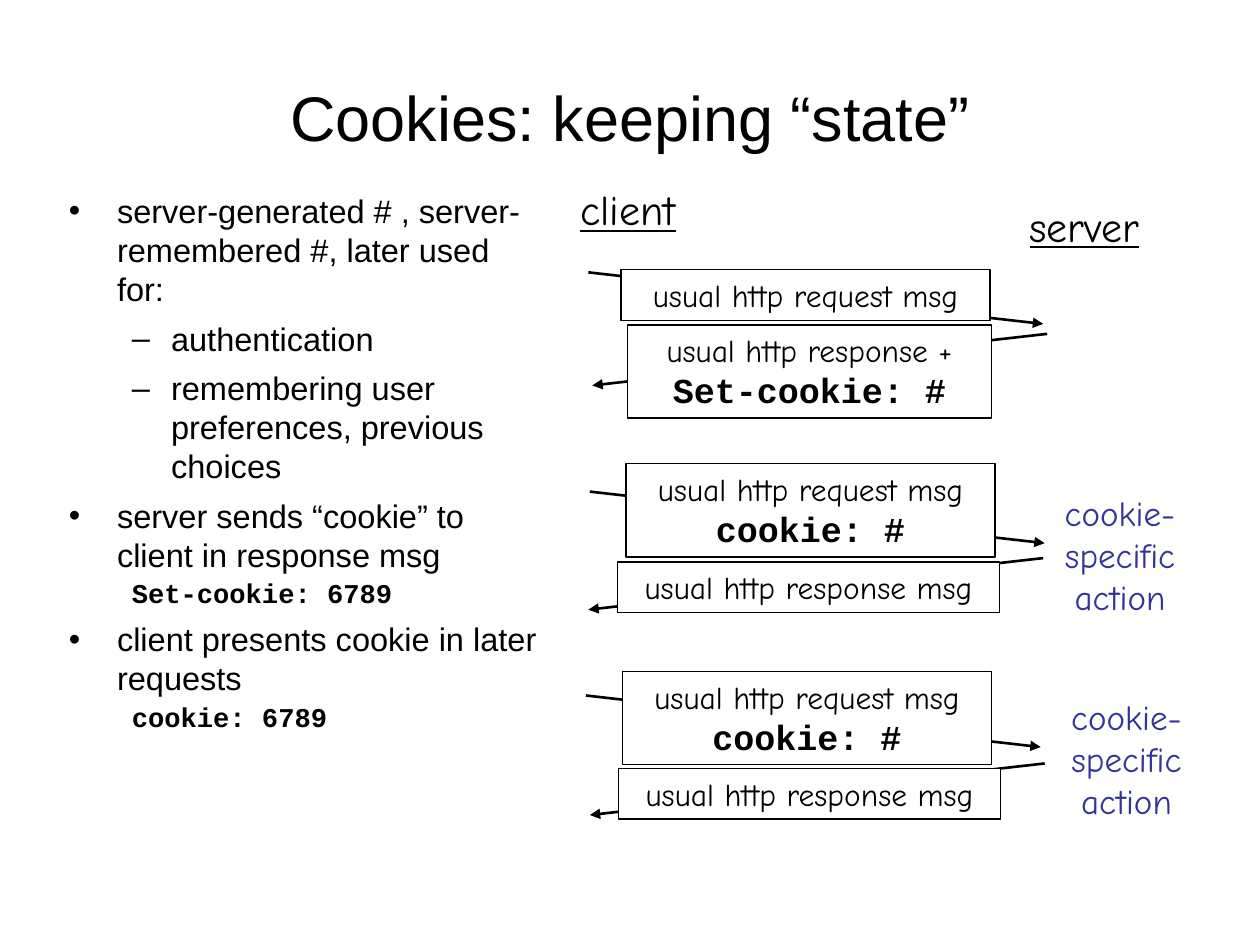
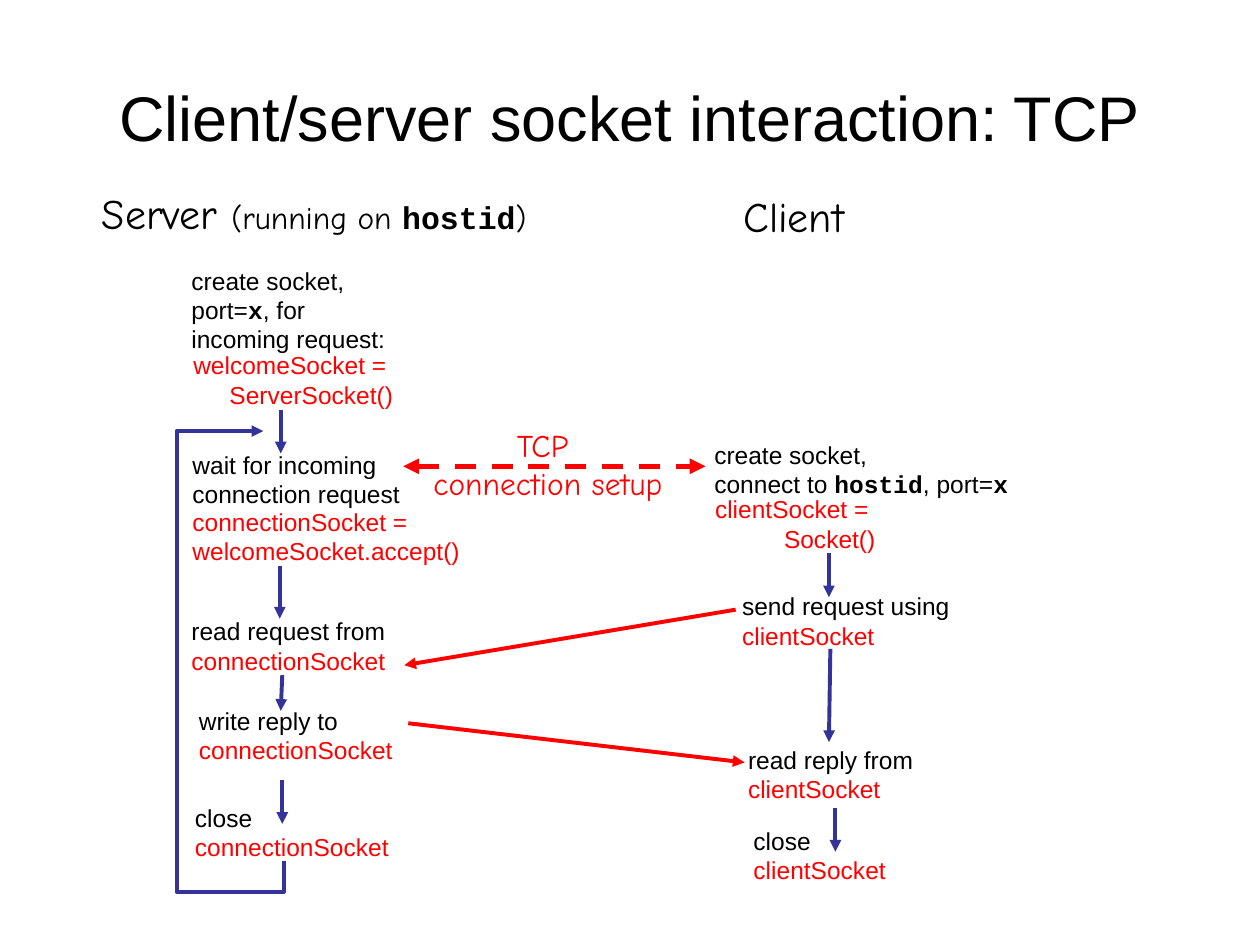
import dataclasses
import typing

import lxml.etree
import pptx
import pptx.dml.color
import pptx.enum.dml
import pptx.enum.shapes
import pptx.enum.text
import pptx.oxml.ns
import pptx.util

Cm = pptx.util.Cm
Pt = pptx.util.Pt
Align = pptx.enum.text.PP_ALIGN
Anchor = pptx.enum.text.MSO_ANCHOR

SANS, HAND, CODE = "Arial", "Comic Neue", "Courier New"
BLACK, WHITE, RED, BLUE = "000000", "FFFFFF", "FF0000", "333399"


class Box(typing.NamedTuple):
    """Position and size in centimetres."""
    left: float
    top: float
    width: float
    height: float


class Span(typing.NamedTuple):
    """Text whose given format values override those of its text box."""
    text: str
    format: dict[str, typing.Any] = {}


Line = str | Span | tuple[Span, ...]
Point = tuple[float, float]


@dataclasses.dataclass
class Message:
    arrow_start: Point
    direction: int
    box: Box
    lines: list[Line]


@dataclasses.dataclass
class Bullet:
    text: str
    marker: str = "•"
    margin: float = 0.97
    hanging: float = 0.97
    space_before: float = 6
    line_spacing: float = 1.0
    size: float = 18.6
    font: str = SANS
    bold: bool = False


@dataclasses.dataclass
class Step:
    left: float
    top: float
    width: float
    lines: list[Line]
    color: str = BLACK
    align: Align = Align.LEFT
    height: float = 1.45


@dataclasses.dataclass
class Arrow:
    start: Point
    end: Point
    color: str = BLUE
    width: float = 2.25
    double: bool = False


def rgb(color: str) -> pptx.dml.color.RGBColor:
    return pptx.dml.color.RGBColor.from_string(color)


def lengths(values: typing.Iterable[float]) -> list[pptx.util.Length]:
    return [Cm(value) for value in values]


def write_run(paragraph, text: str, *, font: str = SANS, size: float = 14, color: str = BLACK,
              bold: bool = False, underline: bool = False) -> None:
    run = paragraph.add_run()
    run.text = text
    run.font.name = font
    run.font.size = Pt(size)
    run.font.color.rgb = rgb(color)
    run.font.bold = bold
    run.font.underline = underline


def fill_text(shape, lines: list[Line], align: Align, anchor: Anchor, wrap: bool,
              **text_format) -> None:
    frame = shape.text_frame
    frame.word_wrap = wrap
    frame.auto_size = pptx.enum.text.MSO_AUTO_SIZE.SHAPE_TO_FIT_TEXT
    frame.vertical_anchor = anchor
    for index, line in enumerate(lines):
        paragraph = frame.add_paragraph() if index else frame.paragraphs[0]
        paragraph.alignment = align
        if isinstance(line, str):
            line = Span(line)
        for span in (line,) if isinstance(line, Span) else line:
            write_run(paragraph, span.text, **(text_format | span.format))


def add_text(slide, box: Box, lines: list[Line], *, align: Align = Align.CENTER,
             anchor: Anchor = Anchor.TOP, wrap: bool = False, **text_format) -> None:
    shape = slide.shapes.add_textbox(*lengths(box))
    fill_text(shape, lines, align, anchor, wrap, **text_format)


def add_title(slide, title: str) -> None:
    shape = slide.shapes.add_textbox(*lengths((1.27, 0.76, 22.86, 3.18)))
    fill_text(shape, [title], Align.CENTER, Anchor.MIDDLE, True, size=36)
    shape.text_frame.auto_size = pptx.enum.text.MSO_AUTO_SIZE.NONE


def style_line(line, color: str, width: float, *, dashed: bool = False,
               ends: tuple[str, ...] = ("tailEnd",)) -> None:
    line.color.rgb = rgb(color)
    line.width = Pt(width)
    if dashed:
        line.dash_style = pptx.enum.dml.MSO_LINE.DASH
    element = line.fill._xPr.find(pptx.oxml.ns.qn("a:solidFill")).getparent()
    for end in ends:
        lxml.etree.SubElement(element, pptx.oxml.ns.qn(f"a:{end}"), type="triangle")


def add_arrow(slide, arrow: Arrow) -> None:
    """A double arrow is drawn dashed, with a head at each end."""
    connector = slide.shapes.add_connector(
        pptx.enum.shapes.MSO_CONNECTOR.STRAIGHT, *lengths(arrow.start + arrow.end))
    ends = ("headEnd", "tailEnd") if arrow.double else ("tailEnd",)
    style_line(connector.line, arrow.color, arrow.width, dashed=arrow.double, ends=ends)
    properties = connector._element.spPr
    lxml.etree.SubElement(properties, pptx.oxml.ns.qn("a:effectLst"))


def add_message(slide, message: Message) -> None:
    """Arrow between client and server, with its label box on top."""
    left, top = message.arrow_start
    end = (left + message.direction * 9.17, top + 1.04)
    add_arrow(slide, Arrow(message.arrow_start, end, BLACK, 1.5))
    shape = slide.shapes.add_shape(
        pptx.enum.shapes.MSO_SHAPE.RECTANGLE, *lengths(message.box))
    shape.shadow.inherit = False
    shape.fill.solid()
    shape.fill.fore_color.rgb = rgb(WHITE)
    style_line(shape.line, BLACK, 0.75, ends=())
    fill_text(shape, message.lines, Align.CENTER, Anchor.TOP, True, font=HAND, size=18)


def add_bullets(slide, box: Box, bullets: list[Bullet]) -> None:
    frame = slide.shapes.add_textbox(*lengths(box)).text_frame
    frame.word_wrap = True
    for index, bullet in enumerate(bullets):
        paragraph = frame.add_paragraph() if index else frame.paragraphs[0]
        properties = paragraph._p.get_or_add_pPr()
        properties.set("marL", str(Cm(bullet.margin)))
        properties.set("indent", str(-Cm(bullet.hanging)))
        if bullet.marker:
            lxml.etree.SubElement(properties, pptx.oxml.ns.qn("a:buFont"), typeface=SANS)
            lxml.etree.SubElement(
                properties, pptx.oxml.ns.qn("a:buChar"), char=bullet.marker)
        if index:
            paragraph.space_before = Pt(bullet.space_before)
        paragraph.line_spacing = bullet.line_spacing
        write_run(paragraph, bullet.text, font=bullet.font, size=bullet.size,
                  bold=bullet.bold)


def add_loop(slide, points: list[Point]) -> None:
    start, *corners = [tuple(lengths(point)) for point in points]
    builder = slide.shapes.build_freeform(*start)
    builder.add_line_segments(corners, close=False)
    shape = builder.convert_to_shape()
    shape.shadow.inherit = False
    shape.fill.background()
    style_line(shape.line, BLUE, 2.25)


def code(text: str, **text_format) -> Span:
    return Span(text, {"font": CODE, "bold": True} | text_format)


def sub_bullet(text: str) -> Bullet:
    return Bullet(text, "–", 2.06, 0.79)


def code_bullet(text: str) -> Bullet:
    return Bullet(text, "", 2.06, 0.79, 5, 0.8, 15.5, CODE, True)


def request(start: Point, left: float, top: float, header: str = "") -> Message:
    lines: list[Line] = ["usual http request msg"]
    if header:
        lines.append(code(header, size=20))
    return Message(start, 1, Box(left, top, 7.44, 1.88 if header else 1.02), lines)


def response(start: Point, left: float, top: float) -> Message:
    return Message(start, -1, Box(left, top, 7.7, 1.02), ["usual http response msg"])


def socket_step(left: float, top: float, width: float, action: str, socket: str) -> Step:
    return Step(left, top, width, [action, Span(socket, {"color": RED})])


def build_cookies(slide) -> None:
    add_title(slide, "Cookies: keeping “state”")
    add_bullets(slide, Box(1.14, 3.73, 10.01, 11.96), [
        Bullet("server-generated # , server-remembered #, later used for:"),
        sub_bullet("authentication"),
        sub_bullet("remembering user preferences, previous choices"),
        Bullet("server sends “cookie” to client in response msg"),
        code_bullet("Set-cookie: 6789"),
        Bullet("client presents cookie in later requests"),
        code_bullet("cookie: 6789"),
    ])
    for name, left, top in (("client", 11.3, 3.58), ("server", 20.5, 3.91)):
        add_text(slide, Box(left, top, 2.72, 1.27), [name], font=HAND, size=24,
                 underline=True)
    set_cookie = Message((21.11, 6.73), -1, Box(12.65, 6.55, 7.34, 1.88),
                         ["usual http response +", code("Set-cookie: #", size=20)])
    for message in (
        request((11.86, 5.49), 12.52, 5.44),
        set_cookie,
        request((11.89, 9.91), 12.62, 9.35, "cookie: #"),
        response((21.03, 11.25), 12.45, 11.33),
        request((11.81, 14.02), 12.55, 13.54, "cookie: #"),
        response((21.06, 15.39), 12.47, 15.49),
    ):
        add_message(slide, message)
    for left, top in ((21.21, 9.78), (21.34, 13.89)):
        add_text(slide, Box(left, top, 2.74, 2.79), ["cookie-", "specific", "action"],
                 font=HAND, size=20, color=BLUE)


def build_sockets(slide) -> None:
    add_title(slide, "Client/server socket interaction: TCP")
    server_heading = (Span("Server ", {"size": 24}), Span("(running on "),
                      code("hostid"), Span(")"))
    for box, line in (
        (Box(1.8, 3.66, 9.07, 1.27), server_heading),
        (Box(14.73, 3.71, 2.54, 1.27), Span("Client", {"size": 24})),
    ):
        add_text(slide, box, [line], anchor=Anchor.MIDDLE, font=HAND, size=18)

    server_steps = [
        Step(3.61, 5.23, 4.42, ["create socket,", (Span("port="), code("x"), Span(", for")),
                                "incoming request:"], height=2.03),
        Step(3.63, 6.93, 4.55, ["welcomeSocket = ", "ServerSocket()"], RED, Align.RIGHT),
        Step(3.63, 8.94, 4.7, ["wait for incoming", "connection request"]),
        Step(3.63, 10.08, 6, ["connectionSocket =", "welcomeSocket.accept()"], RED),
        socket_step(3.61, 12.29, 4.42, "read request from", "connectionSocket"),
        socket_step(3.76, 14.1, 4.42, "write reply to", "connectionSocket"),
        socket_step(3.68, 16.05, 4.42, "close", "connectionSocket"),
    ]
    client_steps = [
        Step(14.15, 8.74, 6.43, ["create socket,", (Span("connect to "), code("hostid"),
                                                    Span(", port="), code("x"))]),
        Step(14.12, 9.83, 3.78, ["clientSocket = ", "Socket()"], RED, Align.RIGHT),
        socket_step(14.71, 11.79, 4.7, "send request using", "clientSocket"),
        socket_step(14.83, 14.88, 3.84, "read reply from", "clientSocket"),
        socket_step(14.94, 16.51, 3.18, "close", "clientSocket"),
    ]
    for step in server_steps + client_steps:
        add_text(slide, Box(step.left, step.top, step.width, step.height), step.lines,
                 align=step.align, anchor=Anchor.MIDDLE, color=step.color)

    server_arrows = [
        Arrow((5.66, 8.26), (5.66, 9.14)),
        Arrow((5.64, 11.4), (5.64, 12.47)),
        Arrow((5.69, 13.61), (5.66, 14.33)),
        Arrow((5.69, 15.72), (5.69, 16.61)),
    ]
    client_arrows = [
        Arrow((16.71, 11.15), (16.71, 12.04)),
        Arrow((16.74, 13.08), (16.71, 14.96)),
        Arrow((16.84, 16.28), (16.84, 17.17)),
    ]
    network_arrows = [
        Arrow((14.83, 12.29), (8.15, 13.41), RED),
        Arrow((8.23, 14.58), (15.01, 15.37), RED),
        Arrow((8.13, 9.4), (14.22, 9.4), RED, 3, double=True),
    ]
    for arrow in server_arrows + client_arrows + network_arrows:
        add_arrow(slide, arrow)
    add_loop(slide, [(5.72, 17.35), (5.72, 17.98), (3.56, 17.98), (3.56, 8.69), (5.31, 8.69)])
    add_text(slide, Box(8.48, 8.46, 5.13, 1.78), ["TCP ", "connection setup"],
             anchor=Anchor.MIDDLE, font=HAND, size=18, color=RED)


def main() -> None:
    presentation = pptx.Presentation()
    presentation.slide_width, presentation.slide_height = lengths((25.4, 19.05))
    for build in (build_cookies, build_sockets):
        build(presentation.slides.add_slide(presentation.slide_layouts[6]))
    presentation.save("out.pptx")


if __name__ == "__main__":
    main()
